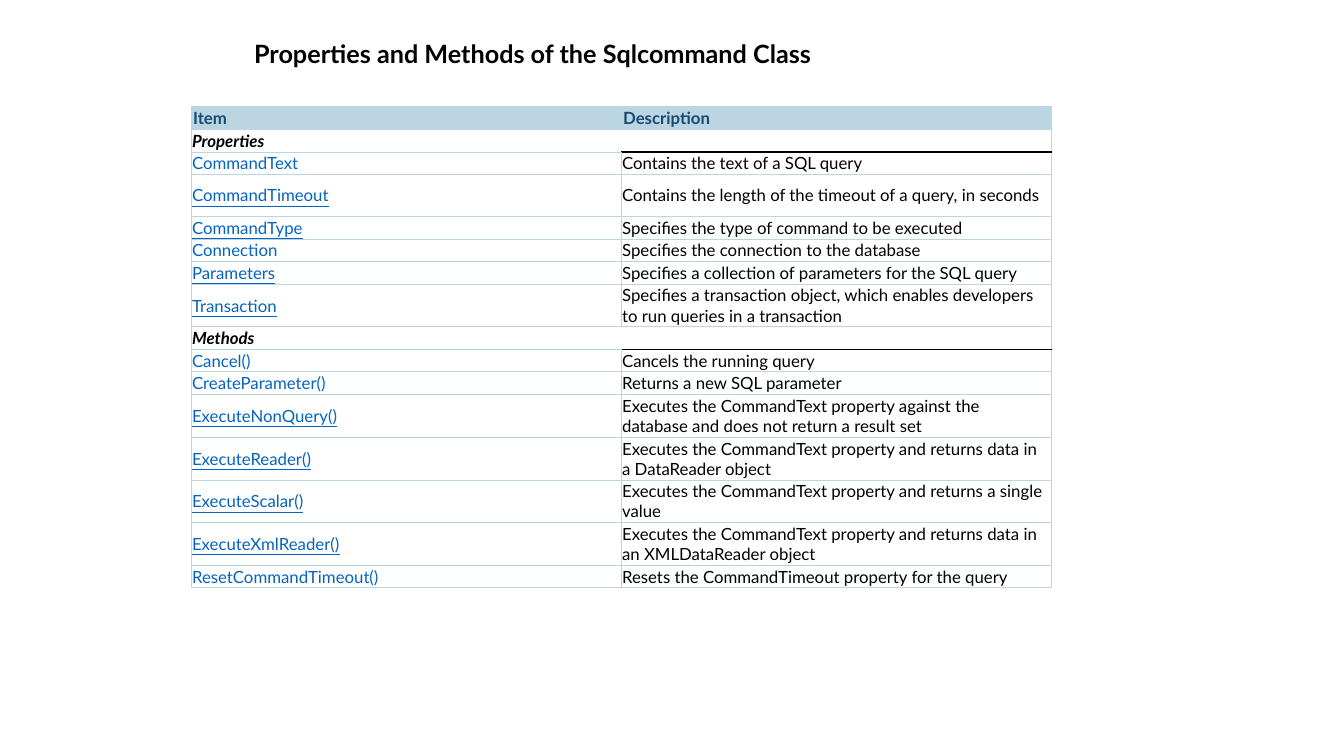
import dataclasses
import itertools
import typing

import pptx
import pptx.dml.color
import pptx.enum.text
import pptx.oxml
import pptx.oxml.ns
import pptx.util

PIXEL = 9071  # EMU at 100.8 pixels to the inch
FONT = "Lato"
COLORS = {
    "header": "BCD5E2",
    "header_text": "184A74",
    "border": "BCD5E2",
    "link": "0563C1",
    "text": "000000",
    "cell": "FFFFFF",
}

BASE = {"name": FONT, "size": pptx.util.Pt(12), "bold": False}
TITLE = BASE | {"size": pptx.util.Pt(18), "bold": True}
HEADER = BASE | {"bold": True}
SECTION = BASE | {"bold": True, "italic": True}
LINK = BASE | {"underline": True}


@dataclasses.dataclass
class Entry:
    item: str
    description: str = ""  # a section heading has none


ENTRIES = [
    Entry("Properties"),
    Entry("CommandText", "Contains the text of a SQL query"),
    Entry("CommandTimeout", "Contains the length of the timeout of a query, in seconds"),
    Entry("CommandType", "Specifies the type of command to be executed"),
    Entry("Connection", "Specifies the connection to the database"),
    Entry("Parameters", "Specifies a collection of parameters for the SQL query"),
    Entry("Transaction", "Specifies a transaction object, which enables developers "
          "to run queries in a transaction"),
    Entry("Methods"),
    Entry("Cancel()", "Cancels the running query"),
    Entry("CreateParameter()", "Returns a new SQL parameter"),
    Entry("ExecuteNonQuery()", "Executes the CommandText property against the "
          "database and does not return a result set"),
    Entry("ExecuteReader()", "Executes the CommandText property and returns data in "
          "a DataReader object"),
    Entry("ExecuteScalar()", "Executes the CommandText property and returns a single value"),
    Entry("ExecuteXmlReader()", "Executes the CommandText property and returns data in "
          "an XMLDataReader object"),
    Entry("ResetCommandTimeout()", "Resets the CommandTimeout property for the query"),
]
ROW_EDGES = [106, 129, 152, 174, 216, 239, 261, 284, 326, 349, 371, 394, 436, 479, 521, 564, 586]
TABLE_LEFT, COLUMN_WIDTH = 191, 430


def px(pixels: int) -> int:
    return pixels * PIXEL


def rgb(color: str) -> pptx.dml.color.RGBColor:
    return pptx.dml.color.RGBColor.from_string(COLORS[color])


def write(text_frame: typing.Any, text: str, color: str, font_format: dict) -> None:
    run = text_frame.paragraphs[0].add_run()
    run.text = text
    run.font.color.rgb = rgb(color)
    for name, value in font_format.items():
        setattr(run.font, name, value)


def add_borders(cell: typing.Any, heavy_side: str = "") -> None:
    properties = cell._tc.get_or_add_tcPr()
    for side in "LRTB":
        heavy = side == heavy_side
        width = pptx.util.Pt(1.25 if heavy else 0.6)
        color = COLORS["text" if heavy else "border"]
        properties.append(pptx.oxml.parse_xml(
            f'<a:ln{side} {pptx.oxml.ns.nsdecls("a")} w="{int(width)}">'
            f'<a:solidFill><a:srgbClr val="{color}"/></a:solidFill></a:ln{side}>'))


def format_cell(cell: typing.Any, fill: str, side_margin: int = 1, heavy_side: str = "") -> None:
    add_borders(cell, heavy_side)
    cell.fill.solid()
    cell.fill.fore_color.rgb = rgb(fill)
    cell_format = {
        "margin_left": px(side_margin),
        "margin_right": px(side_margin),
        "margin_top": px(1),
        "margin_bottom": px(1),
        "vertical_anchor": pptx.enum.text.MSO_ANCHOR.MIDDLE,
    }
    for name, value in cell_format.items():
        setattr(cell, name, value)


presentation = pptx.Presentation()
presentation.slide_width = pptx.util.Inches(13.33)
presentation.slide_height = pptx.util.Inches(7.5)
slide = presentation.slides.add_slide(presentation.slide_layouts[5])

# Title
title = slide.shapes.title
title_place = {"left": 244, "top": 33, "width": 672, "height": 40}
for name, pixels in title_place.items():
    setattr(title, name, px(pixels))
frame_format = {
    "word_wrap": True,
    "auto_size": pptx.enum.text.MSO_AUTO_SIZE.SHAPE_TO_FIT_TEXT,
    "vertical_anchor": pptx.enum.text.MSO_ANCHOR.TOP,
}
for name, value in frame_format.items():
    setattr(title.text_frame, name, value)
title.text_frame.paragraphs[0].alignment = pptx.enum.text.PP_ALIGN.LEFT
write(title.text_frame, "Properties and Methods of the Sqlcommand Class", "text", TITLE)

# Table grid
table = slide.shapes.add_table(
    len(ENTRIES) + 1, 2, px(TABLE_LEFT), px(ROW_EDGES[0]),
    px(2 * COLUMN_WIDTH), px(ROW_EDGES[-1] - ROW_EDGES[0])).table
table.first_row = table.horz_banding = False
for column in table.columns:
    column.width = px(COLUMN_WIDTH)
for row, (top, bottom) in zip(table.rows, itertools.pairwise(ROW_EDGES)):
    row.height = px(bottom - top)

# Header row
for cell, heading in zip(table.rows[0].cells, ("Item", "Description")):
    format_cell(cell, "header", side_margin=2)
    write(cell.text_frame, heading, "header_text", HEADER)

# Sections, with a heavy rule under the right half of each heading
after_section = False
for number, entry in enumerate(ENTRIES, start=1):
    item_cell, description_cell = table.cell(number, 0), table.cell(number, 1)
    is_section = not entry.description
    heavy_side = "B" if is_section else "T" if after_section else ""
    format_cell(item_cell, "cell")
    format_cell(description_cell, "cell", heavy_side=heavy_side)
    if is_section:
        item_cell.merge(description_cell)
        write(item_cell.text_frame, entry.item, "text", SECTION)
    else:
        write(item_cell.text_frame, entry.item, "link", LINK)
        write(description_cell.text_frame, entry.description, "text", BASE)
    after_section = is_section

presentation.save("out.pptx")
